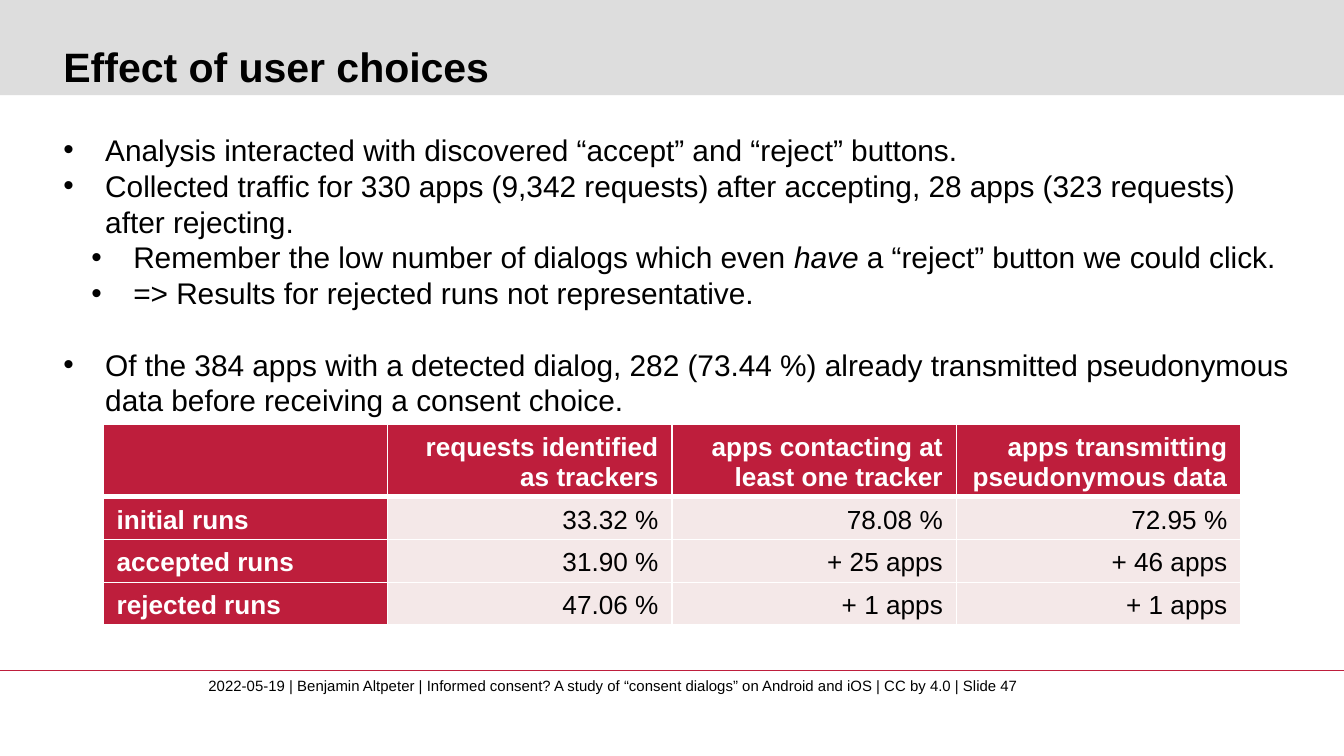
from dataclasses import dataclass

from lxml.etree import SubElement
from pptx import Presentation
from pptx.dml.color import RGBColor as Rgb
from pptx.enum.shapes import MSO_CONNECTOR as Link, MSO_SHAPE as Form
from pptx.enum.text import MSO_ANCHOR as Anchor, PP_ALIGN as Align
from pptx.oxml.ns import qn
from pptx.util import Cm, Pt


@dataclass(frozen=True)
class Theme:
    face: str = "Arial"
    ink: str = "000000"
    white: str = "FFFFFF"
    red: str = "BE1E3C"
    pink: str = "F4E8E8"
    gray: str = "DDDDDD"
    title: int = 22
    body: int = 16
    grid: int = 14
    foot: int = 8


THEME = Theme()
WIDE, HIGH = 25.4, 14.29

# Each point: level, then runs; a run in a tuple is italic.
POINTS = [
    (0, ["Analysis interacted with discovered “accept” and “reject” buttons."]),
    (0, ["Collected traffic for 330 apps (9,342 requests) after accepting, "
         "28 apps (323 requests) after rejecting."]),
    (1, ["Remember the low number of dialogs which even ", ("have",),
         " a “reject” button we could click."]),
    (1, ["=> Results for rejected runs not representative."]),
    (0, ["Of the 384 apps with a detected dialog, 282 (73.44 %) already "
         "transmitted pseudonymous data before receiving a consent choice."]),
]
ROWS = [
    ["", "requests identified as trackers", "apps contacting at least one tracker",
     "apps transmitting pseudonymous data"],
    ["initial runs", "33.32 %", "78.08 %", "72.95 %"],
    ["accepted runs", "31.90 %", "+ 25 apps", "+ 46 apps"],
    ["rejected runs", "47.06 %", "+ 1 apps", "+ 1 apps"],
]
FOOT = ("2022-05-19 | Benjamin Altpeter | Informed consent? A study of “consent "
        "dialogs” on Android and iOS | CC by 4.0 | Slide 47")


def style(para, size, color=THEME.ink, bold=False):
    font = para.font
    font.name, font.size, font.bold = THEME.face, Pt(size), bold
    font.color.rgb = Rgb.from_string(color)


def add_frame(slide, box, anchor=Anchor.TOP):
    """Add a wrapping text box without margins and return its text frame."""
    frame = slide.shapes.add_textbox(*map(Cm, box)).text_frame
    frame.margin_left = frame.margin_top = 0
    frame.margin_right = frame.margin_bottom = 0
    frame.word_wrap = True
    frame.vertical_anchor = anchor
    return frame


def add_head(slide, box, text):
    left, top, width, height = box
    band = slide.shapes.add_shape(Form.RECTANGLE, *map(Cm, box))
    band.shadow.inherit = False
    band.fill.solid()
    band.fill.fore_color.rgb = Rgb.from_string(THEME.gray)
    band.line.fill.background()
    area = (left + 1.2, top + 0.23, width - 2.13, height - 0.31)
    para = add_frame(slide, area, Anchor.BOTTOM).paragraphs[0]
    para.text = text
    style(para, THEME.title, bold=True)


def add_bullet(para, level):
    props = para._p.get_or_add_pPr()
    hang = Cm(0.79)
    props.set("marL", str(hang + level * Cm(0.53)))
    props.set("indent", str(-hang))
    SubElement(props, qn("a:buFont"), typeface=THEME.face)
    SubElement(props, qn("a:buChar"), char="•")


def add_points(slide, box, points):
    frame = add_frame(slide, box)
    for i, (level, runs) in enumerate(points):
        para = frame.paragraphs[0] if i == 0 else frame.add_paragraph()
        para.level = level
        para.line_spacing = 1.0
        if i and level < points[i - 1][0]:
            para.space_before = Pt(19)
        add_bullet(para, level)
        style(para, THEME.body)
        for part in runs:
            run = para.add_run()
            if isinstance(part, tuple):
                run.text, run.font.italic = part[0], True
            else:
                run.text = part


def add_edges(cell, top, bottom):
    """Draw white cell borders; top and bottom are widths in points."""
    props = cell._tc.get_or_add_tcPr()
    for side, size in zip("LRTB", (1, 1, top, bottom)):
        line = SubElement(props, qn(f"a:ln{side}"), w=str(Pt(size)))
        fill = SubElement(line, qn("a:solidFill"))
        SubElement(fill, qn("a:srgbClr"), val=THEME.white)


def add_grid(slide, box, rows):
    table = slide.shapes.add_table(len(rows), len(rows[0]), *map(Cm, box)).table
    for r, texts in enumerate(rows):
        table.rows[r].height = Cm(0.81 if r else 1.35)
        for c, text in enumerate(texts):
            cell = table.cell(r, c)
            label = r == 0 or c == 0
            add_edges(cell, 3 if r == 1 else 1, 1 if r else 3)
            cell.fill.solid()
            cell.fill.fore_color.rgb = Rgb.from_string(
                THEME.red if label else THEME.pink)
            cell.margin_top = cell.margin_bottom = Cm(0.09)
            cell.vertical_anchor = Anchor.BOTTOM
            para = cell.text_frame.paragraphs[0]
            para.text = text
            para.alignment = Align.RIGHT if c else Align.LEFT
            style(para, THEME.grid, THEME.white if label else THEME.ink, label)


def add_foot(slide, box, text):
    left, top, width, height = box
    rule = slide.shapes.add_connector(
        Link.STRAIGHT, Cm(left), Cm(top), Cm(left + width), Cm(top))
    rule.line.color.rgb = Rgb.from_string(THEME.red)
    rule.line.width = Pt(0.75)
    SubElement(rule._element.spPr, qn("a:effectLst"))
    area = (left + 3.94, top + 0.12, 15.54, height - 0.12)
    para = add_frame(slide, area).paragraphs[0]
    para.text = text
    style(para, THEME.foot)


def main():
    deck = Presentation()
    deck.slide_width, deck.slide_height = Cm(WIDE), Cm(HIGH)
    slide = deck.slides.add_slide(deck.slide_layouts[6])
    add_foot(slide, (0, 12.67, WIDE, 0.82), FOOT)
    add_head(slide, (0, 0, WIDE, 1.8), "Effect of user choices")
    add_points(slide, (1.2, 2.49, 23.27, 9.6), POINTS)
    add_grid(slide, (1.95, 8.02, 21.5, 3.78), ROWS)
    deck.save("out.pptx")


if __name__ == "__main__":
    main()
